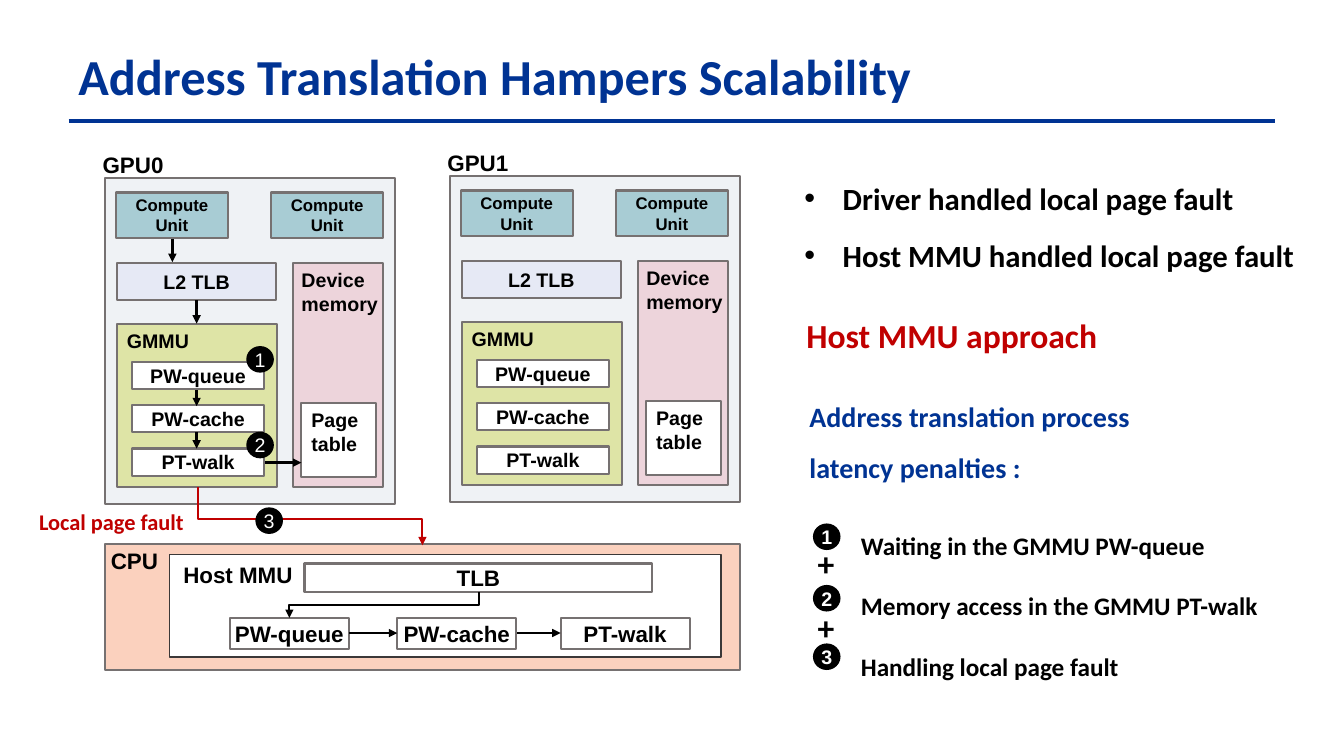
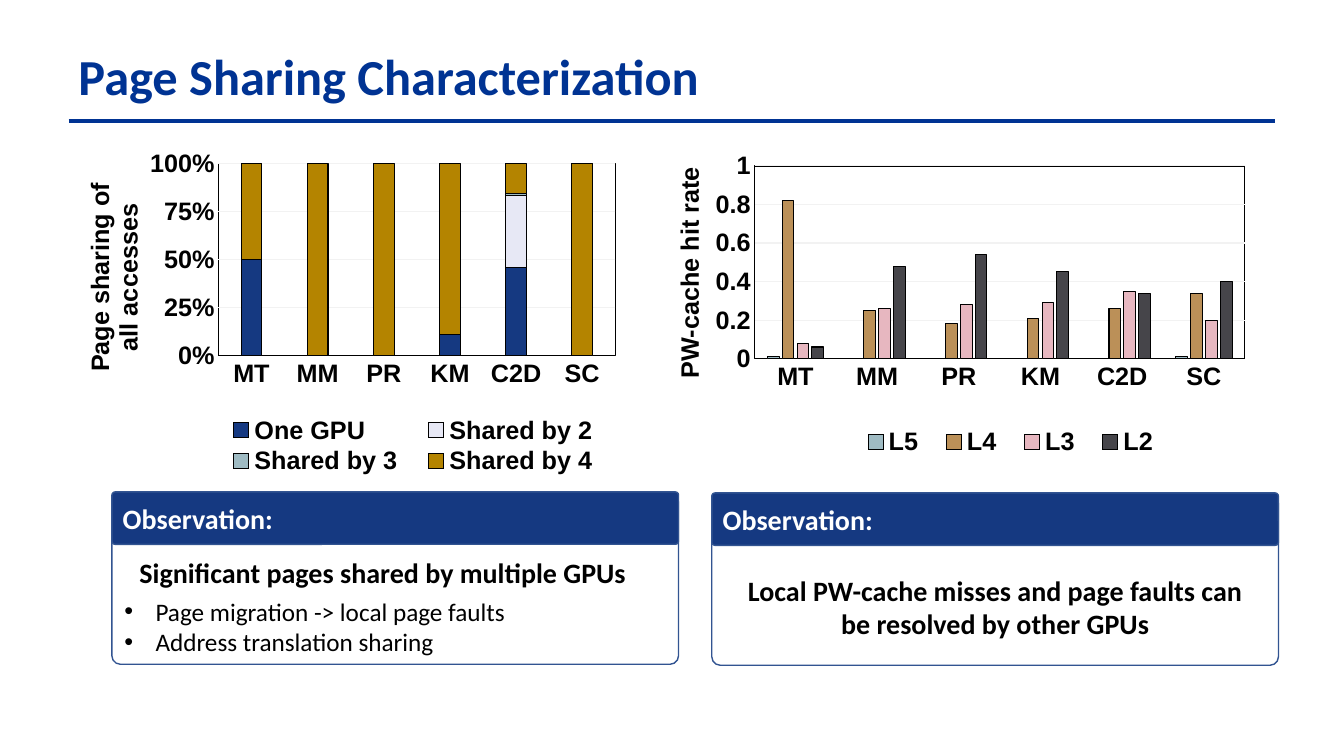
from lxml import etree
from pptx import Presentation
from pptx.chart.data import CategoryChartData
from pptx.dml.color import RGBColor
from pptx.enum.chart import XL_CHART_TYPE, XL_LEGEND_POSITION, XL_TICK_MARK
from pptx.enum.shapes import MSO_CONNECTOR, MSO_SHAPE
from pptx.enum.text import MSO_ANCHOR, PP_ALIGN
from pptx.oxml.ns import qn
from pptx.util import Inches, Pt

RECT, OVAL, ROUND = MSO_SHAPE.RECTANGLE, MSO_SHAPE.OVAL, MSO_SHAPE.ROUNDED_RECTANGLE
STRAIGHT, ELBOW = MSO_CONNECTOR.STRAIGHT, MSO_CONNECTOR.ELBOW
LEFT, CENTER = PP_ALIGN.LEFT, PP_ALIGN.CENTER
TOP, MIDDLE = MSO_ANCHOR.TOP, MSO_ANCHOR.MIDDLE
STACKED, CLUSTERED = XL_CHART_TYPE.COLUMN_STACKED_100, XL_CHART_TYPE.COLUMN_CLUSTERED
BOTTOM, NO_TICK = XL_LEGEND_POSITION.BOTTOM, XL_TICK_MARK.NONE

BLUE, NAVY, EDGE, RED = "003393", "153981", "325491", "C00000"
BLACK, WHITE, GRAY = "000000", "FFFFFF", "767171"
HEAD, DIAGRAM = "Calibri", "Arial"
INSET = (0.1, 0.05, 0.1, 0.05)
FLAT = (0, 0, 0, 0)
APPS = ["MT", "MM", "PR", "KM", "C2D", "SC"]


def rgb(value):
    return RGBColor.from_string(value)


def style_font(font, sz, color=BLACK, name=DIAGRAM, bold=True):
    font.size, font.name, font.bold = Pt(sz), name, bold
    font.color.rgb = rgb(color)


def add_para(tf, text, sz, color=BLACK, name=DIAGRAM, bold=True, align=LEFT,
             spacing=None, before=0, indent=0, bullet=False):
    p = tf.paragraphs[0]
    if p.runs:
        p = tf.add_paragraph()
    p.alignment = align
    if spacing:
        p.line_spacing = spacing
    if before:
        p.space_before = Pt(before)
    pPr = p._p.get_or_add_pPr()
    if indent:
        pPr.set("marL", str(Inches(indent)))
    if bullet:
        pPr.set("indent", str(-Inches(indent)))
        etree.SubElement(pPr, qn("a:buFont")).set("typeface", "Arial")
        etree.SubElement(pPr, qn("a:buChar")).set("char", "•")
    r = p.add_run()
    r.text = text
    style_font(r.font, sz, color, name, bold)


def set_frame(tf, anchor=TOP, inset=INSET):
    tf.word_wrap = True
    tf.vertical_anchor = anchor
    tf.margin_left, tf.margin_top, tf.margin_right, tf.margin_bottom = map(Inches, inset)


def add_text(s, box, lines, sz, color=BLACK, name=HEAD, **para):
    tf = s.shapes.add_textbox(*map(Inches, box)).text_frame
    set_frame(tf)
    for text in lines:
        add_para(tf, text, sz, color, name, **para)


def add_box(s, box, fill=WHITE, lines=(), sz=14, color=BLACK, kind=RECT, line=GRAY,
            weight=1.5, align=CENTER, anchor=MIDDLE, inset=INSET, **para):
    sp = s.shapes.add_shape(kind, *map(Inches, box))
    sp.shadow.inherit = False
    sp.fill.solid()
    sp.fill.fore_color.rgb = rgb(fill)
    sp.line.color.rgb = rgb(line)
    sp.line.width = Pt(weight)
    set_frame(sp.text_frame, anchor, inset)
    for text in lines:
        add_para(sp.text_frame, text, sz, color, align=align, **para)
    return sp


def style_line(c, color, weight, arrow):
    c.line.color.rgb = rgb(color)
    c.line.width = Pt(weight)
    if arrow:
        ln = c.line._get_or_add_ln()
        etree.SubElement(ln, qn("a:tailEnd")).set("type", "triangle")
    etree.SubElement(c._element.spPr, qn("a:effectLst"))


def add_line(s, x1, y1, x2, y2, color=BLACK, weight=1.75, arrow=True):
    c = s.shapes.add_connector(STRAIGHT, *map(Inches, (x1, y1, x2, y2)))
    style_line(c, color, weight, arrow)


def add_drop(s, x1, y1, x2, y2, bend, color):
    w, h = y2 - y1, abs(x2 - x1)
    x, y = (x1 + x2 - w) / 2, (y1 + y2 - h) / 2
    c = s.shapes.add_connector(ELBOW, *map(Inches, (x, y, x + w, y + h)))
    xfrm = c._element.spPr.find(qn("a:xfrm"))
    if x2 > x1:
        xfrm.set("flipH", "1")
    xfrm.set("rot", str((270 if x2 > x1 else 90) * 60000))
    geom = c._element.spPr.find(qn("a:prstGeom"))
    guides = geom.find(qn("a:avLst"))
    if guides is None:
        guides = etree.SubElement(geom, qn("a:avLst"))
    gd = etree.SubElement(guides, qn("a:gd"))
    gd.set("name", "adj1")
    gd.set("fmla", f"val {round(bend * 100000)}")
    style_line(c, color, 1.5, True)


def add_badge(s, x, y, number, bold=False):
    add_box(s, (x, y, 0.26, 0.25), BLACK, [str(number)], 14, WHITE, OVAL, BLACK, 1,
            inset=FLAT, bold=bold)


def new_slide(prs, title):
    s = prs.slides.add_slide(prs.slide_layouts[6])
    add_line(s, 0.68, 1.2, 12.65, 1.2, BLUE, 3.25, False)
    add_text(s, (0.68, 0.4, 11.14, 0.71), [title], 36, BLUE)
    return s


def draw_gpu(s, x, y, name):
    add_box(s, (x, y, 2.88, 3.23), "EFF2F5")
    add_text(s, (x - 0.12, y - 0.32, 1.8, 0.37), [name], 16, name=DIAGRAM)
    for dx in (0.11, 1.65):
        add_box(s, (x + dx, y + 0.14, 1.11, 0.45), "A8CCD4", ["Compute Unit"], 12)
    add_box(s, (x + 0.12, y + 0.84, 1.58, 0.37), "E6E9F5", ["L2 TLB"])
    add_box(s, (x + 0.12, y + 1.44, 1.59, 1.62), "DEE4A6", ["GMMU"], align=LEFT, anchor=TOP)
    for i, stage in enumerate(("PW-queue", "PW-cache", "PT-walk")):
        add_box(s, (x + 0.27, y + 1.82 + 0.43 * i, 1.31, 0.27), lines=[stage])
    add_box(s, (x + 1.87, y + 0.84, 0.89, 2.22), "EDD4DB", ["Device memory"],
            align=LEFT, anchor=TOP, inset=(0.08, 0.05, 0, 0.05))
    add_box(s, (x + 1.95, y + 2.23, 0.74, 0.73), lines=["Page", "table"],
            align=LEFT, anchor=TOP)


def draw_gpu_flow(s, x, y):
    for dx, top, bottom in ((0.67, 0.6, 0.83), (0.91, 1.21, 1.44),
                            (0.91, 2.1, 2.26), (0.91, 2.52, 2.68)):
        add_line(s, x + dx, y + top, x + dx, y + bottom)
    add_line(s, x + 1.59, y + 2.82, x + 1.95, y + 2.82)
    add_drop(s, x + 0.92, y + 3.06, x + 3.15, y + 3.64, 0.55, RED)
    for number, dx, dy in ((1, 1.41, 1.67), (2, 1.41, 2.52), (3, 1.5, 3.27)):
        add_badge(s, x + dx, y + dy, number)
    add_text(s, (x - 0.85, y + 3.09, 1.83, 0.46), ["Local page fault"], 16, RED,
             align=CENTER, spacing=1.5)


def draw_cpu(s, x, y):
    add_box(s, (x, y, 6.3, 1.25), "FBD1BE")
    add_box(s, (x + 0.64, y + 0.1, 5.47, 1.02), line="3B3838", weight=1)
    add_text(s, (x - 0.04, y - 0.02, 0.68, 0.37), ["CPU"], 16, name=DIAGRAM)
    add_text(s, (x + 0.68, y + 0.12, 1.34, 0.37), ["Host MMU"], 16, name=DIAGRAM)
    add_box(s, (x + 1.98, y + 0.19, 3.45, 0.28), lines=["TLB"], sz=16)
    for dx, w, stage in ((1.24, 1.18, "PW-queue"), (2.9, 1.18, "PW-cache"),
                         (4.52, 1.28, "PT-walk")):
        add_box(s, (x + dx, y + 0.73, w, 0.31), lines=[stage], sz=16, inset=FLAT)
    for start, end in ((2.42, 2.9), (4.09, 4.52)):
        add_line(s, x + start, y + 0.88, x + end, y + 0.88)
    add_drop(s, x + 3.71, y + 0.47, x + 1.83, y + 0.73, 0.5, BLACK)


def draw_approach(s, x, y):
    for dy, text in ((0, "Driver handled local page fault"),
                     (0.57, "Host MMU handled local page fault")):
        add_text(s, (x, y + dy, 5.22, 0.47), [text], 22, indent=0.38, bullet=True)
    add_text(s, (x + 0.02, y + 1.35, 4.13, 0.5), ["Host MMU approach"], 24, RED)
    add_text(s, (x + 0.05, y + 2.02, 5.09, 1.06),
             ["Address translation process", "latency penalties :"], 20, BLUE, spacing=1.5)


def draw_penalties(s, x, y):
    add_text(s, (x + 0.43, y, 4.4, 2.44),
             ["Waiting in the GMMU PW-queue", "Memory access in the GMMU PT-walk",
              "Handling local page fault"], 18, spacing=2)
    for i, dy in enumerate((0.29, 0.9, 1.48)):
        add_badge(s, x + 0.06, y + dy, i + 1, True)
    for dy in (0.43, 1.06):
        add_text(s, (x, y + dy, 0.39, 0.5), ["+"], 24)


def place_part(parent, index, inner=False, **edges):
    for old in parent.findall(qn("c:layout")):
        parent.remove(old)
    layout = etree.Element(qn("c:layout"))
    manual = etree.SubElement(layout, qn("c:manualLayout"))
    values = {"layoutTarget": "inner"} if inner else {}
    values.update(xMode="edge", yMode="edge", **edges)
    for tag, value in values.items():
        etree.SubElement(manual, qn("c:" + tag)).set("val", str(value))
    parent.insert(index, layout)


def frame_plot(plot_area):
    ln = etree.SubElement(etree.SubElement(plot_area, qn("c:spPr")), qn("a:ln"))
    ln.set("w", str(Pt(0.75)))
    fill = etree.SubElement(ln, qn("a:solidFill"))
    etree.SubElement(fill, qn("a:srgbClr")).set("val", BLACK)


def draw_chart(s, box, kind, series, title, step, number_format, overlap,
               plot_at, title_at, legend_at):
    data = CategoryChartData()
    data.categories = APPS
    for name, _, values in series:
        data.add_series(name, values)
    chart = s.shapes.add_chart(kind, *map(Inches, box), data).chart
    chart.has_title = False
    style_font(chart.font, 16)
    plot = chart.plots[0]
    plot.gap_width, plot.overlap, plot.vary_by_categories = 219, overlap, False
    for ser, (_, color, _) in zip(plot.series, series):
        ser.format.fill.solid()
        ser.format.fill.fore_color.rgb = rgb(color)
        ser.format.line.color.rgb = rgb(BLACK)
        ser.format.line.width = Pt(0.75)

    cat, val = chart.category_axis, chart.value_axis
    for axis in (cat, val):
        axis.major_tick_mark = axis.minor_tick_mark = NO_TICK
        style_font(axis.tick_labels.font, 18)
    cat.format.line.color.rgb = rgb(BLACK)
    cat.format.line.width = Pt(0.75)
    val.format.line.fill.background()
    val.minimum_scale, val.maximum_scale, val.major_unit = 0, 1, step
    val.tick_labels.number_format = number_format
    val.tick_labels.number_format_is_linked = False
    val.major_gridlines.format.line.color.rgb = rgb("F2F2F2")
    val.major_gridlines.format.line.width = Pt(0.75)

    tf = val.axis_title.text_frame
    for text in title:
        add_para(tf, text, 18, align=CENTER)
    tf._txBody.bodyPr.set("rot", "-5400000")
    tf._txBody.bodyPr.set("vert", "horz")
    place_part(val.axis_title._element, 1, **dict(zip("xy", title_at)))

    chart.has_legend = True
    chart.legend.position = BOTTOM
    chart.legend.include_in_layout = False
    style_font(chart.legend.font, 18)
    place_part(chart.legend._element, 1, **dict(zip("xywh", legend_at)))
    plot_area = chart._chartSpace.chart.plotArea
    place_part(plot_area, 0, True, **dict(zip("xywh", plot_at)))
    frame_plot(plot_area)


def draw_observation(s, x, y, paras):
    body = add_box(s, (x, y + 0.02, 5.62, 1.69), kind=ROUND, line=EDGE, weight=1,
                   inset=(0.1, 0.58, 0.1, 0.05))
    body.adjustments[0] = 0.05
    for text, sz, options in paras:
        add_para(body.text_frame, text, sz, name=HEAD, **options)
    head = add_box(s, (x, y, 5.62, 0.52), NAVY, ["Observation:"], 20, WHITE, ROUND,
                   EDGE, 1, LEFT, name=HEAD)
    head.adjustments[0] = 0.06


def build_scalability(prs):
    s = new_slide(prs, "Address Translation Hampers Scalability")
    draw_gpu(s, 1.04, 1.77, "GPU0")
    draw_gpu(s, 4.46, 1.75, "GPU1")
    draw_cpu(s, 1.04, 5.4)
    draw_gpu_flow(s, 1.04, 1.77)
    draw_approach(s, 7.88, 1.73)
    draw_penalties(s, 8.01, 4.91)


def build_sharing(prs):
    s = new_slide(prs, "Page Sharing Characterization")
    draw_chart(s, (0.35, 1.08, 7.57, 4.15), STACKED,
               [("One GPU", NAVY, (50, 0, 0, 11, 46, 0)),
                ("Shared by 2", "E7E8F5", (0, 0, 0, 0, 38, 0)),
                ("Shared by 3", "9FBBC3", (0, 0, 0, 0, 1, 0)),
                ("Shared by 4", "B48400", (50, 100, 100, 89, 16, 100))],
               ["Page sharing of", "all accesses"], 0.25, "0%", 100,
               (0.24, 0.13, 0.52, 0.46), (0.06, 0.17), (0.23, 0.73, 0.53, 0.15))
    draw_chart(s, (5.84, 1.42, 7.15, 3.24), CLUSTERED,
               [("L5", "9FBBC3", (0.01, 0, 0, 0, 0, 0.01)),
                ("L4", "BB9058", (0.82, 0.25, 0.18, 0.21, 0.26, 0.34)),
                ("L3", "E7B7C0", (0.08, 0.26, 0.28, 0.29, 0.35, 0.2)),
                ("L2", "46454A", (0.06, 0.48, 0.54, 0.45, 0.34, 0.4))],
               ["PW-cache hit rate"], 0.2, "General", -27,
               (0.23, 0.07, 0.68, 0.59), (0.11, 0.06), (0.36, 0.85, 0.45, 0.13))
    item = dict(bold=False, indent=0.31, bullet=True)
    draw_observation(s, 1.11, 4.88, [
        ("Significant pages shared by multiple GPUs", 20, dict(indent=0.15)),
        ("Page migration -> local page faults", 18, dict(item, before=5)),
        ("Address translation sharing", 18, item)])
    draw_observation(s, 7.06, 4.89, [
        ("Local PW-cache misses and page faults can", 20, dict(align=CENTER)),
        ("be resolved by other GPUs", 20, dict(align=CENTER))])


def main():
    prs = Presentation()
    prs.slide_width, prs.slide_height = Inches(13.33), Inches(7.5)
    build_scalability(prs)
    build_sharing(prs)
    prs.save("out.pptx")


if __name__ == "__main__":
    main()
